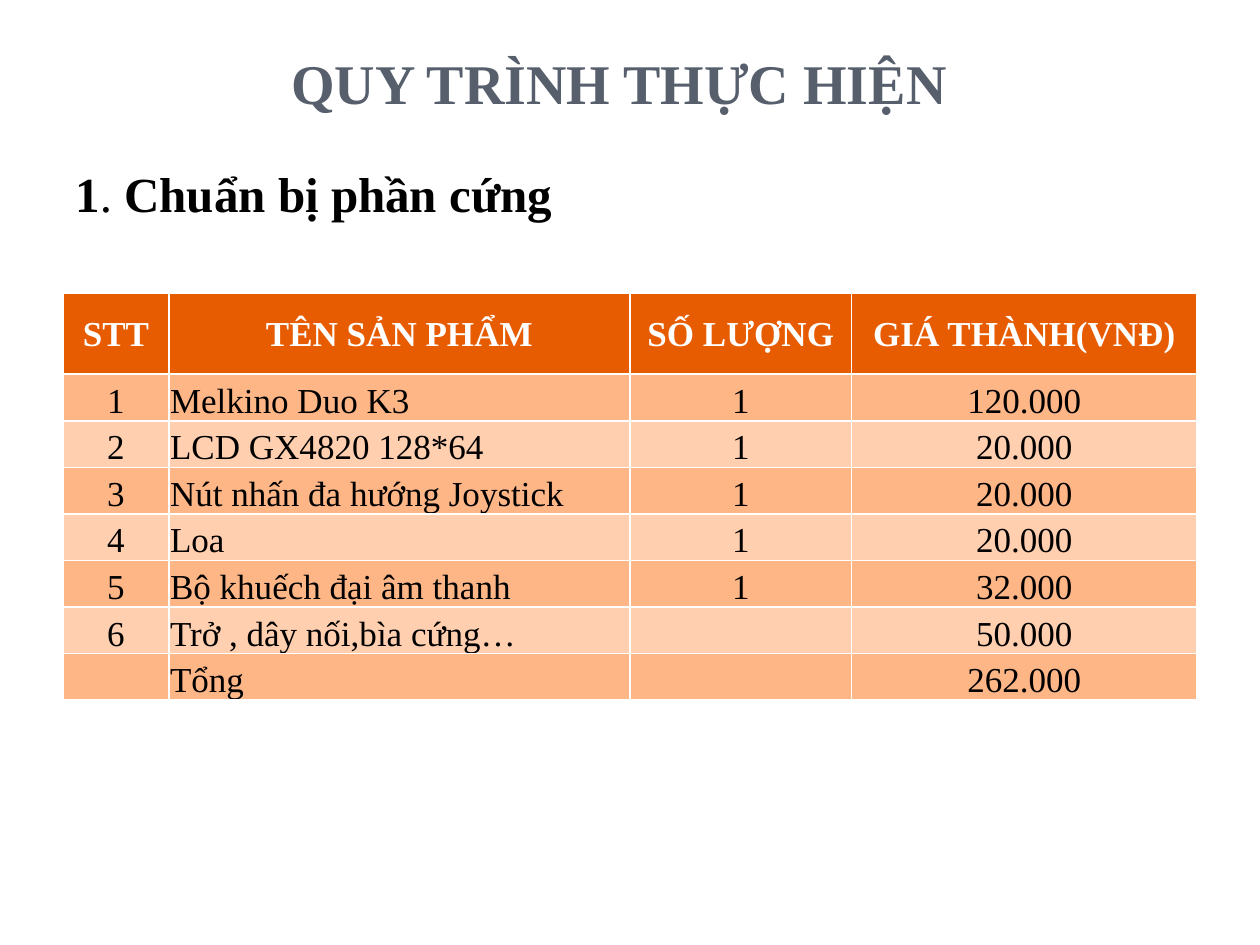
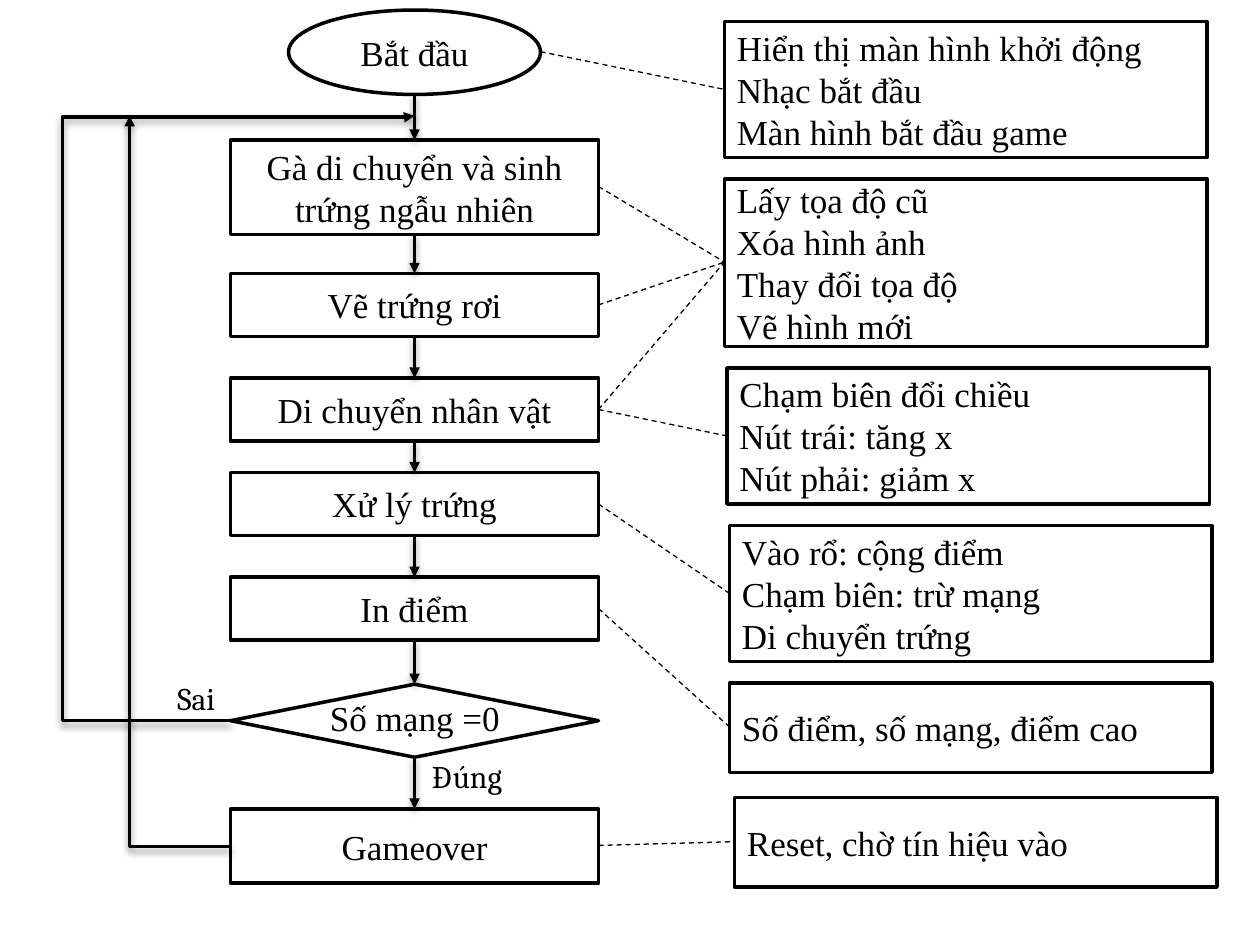
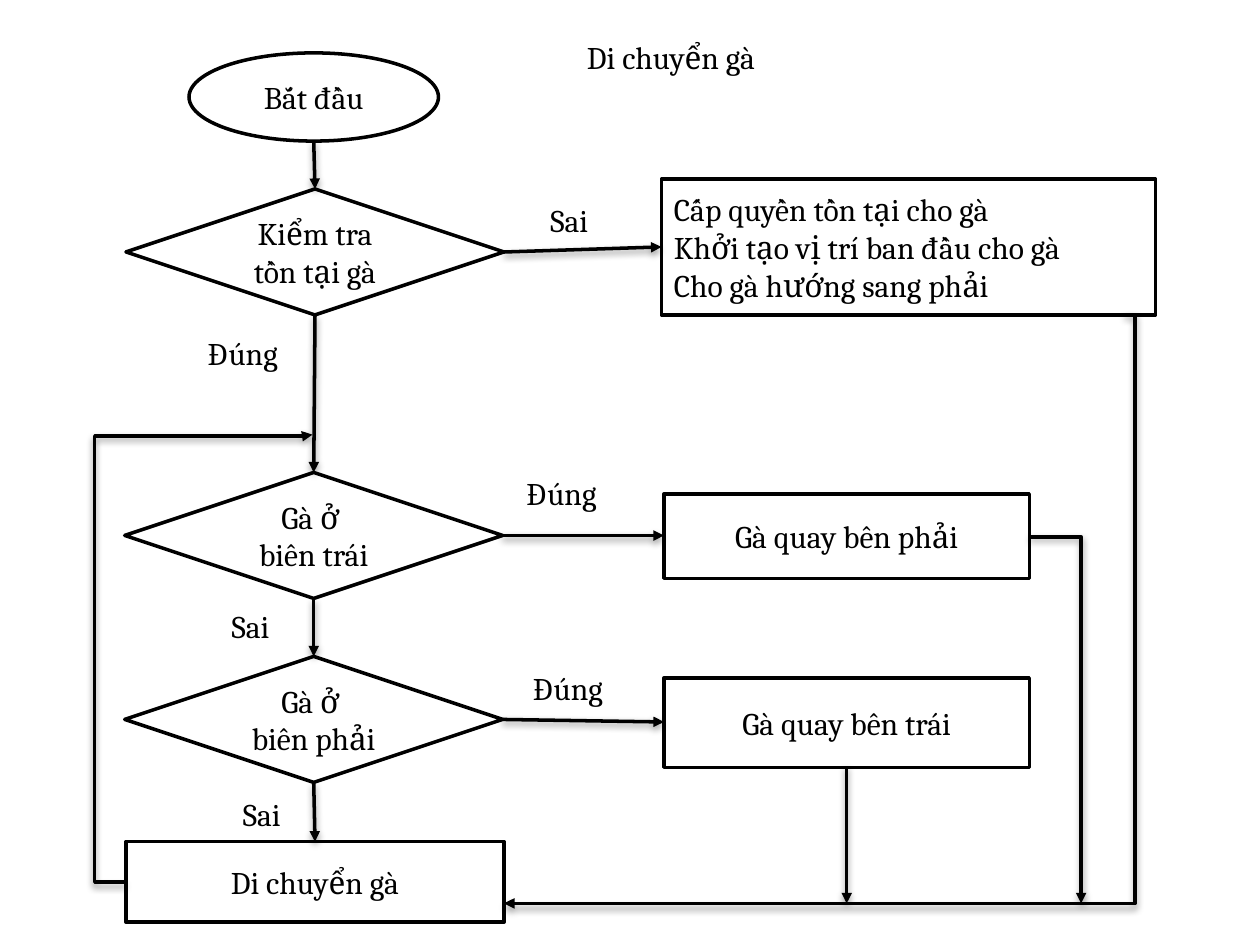
from lxml.etree import SubElement
from pptx import Presentation
from pptx.dml.color import RGBColor
from pptx.enum.dml import MSO_LINE
from pptx.enum.shapes import MSO_CONNECTOR, MSO_SHAPE
from pptx.enum.text import MSO_ANCHOR, PP_ALIGN
from pptx.oxml.ns import qn
from pptx.util import Pt

PX = 9144
SERIF, LABEL = "Times New Roman", "Cambria"
C = {"ink": "000000", "paper": "FFFFFF", "title": "575F6D",
     "head": "E75C01", "odd": "FEB687", "even": "FFCFAF"}
LEFT, CENTER = PP_ALIGN.LEFT, PP_ALIGN.CENTER
OVAL, RECT, DIAMOND = MSO_SHAPE.OVAL, MSO_SHAPE.RECTANGLE, MSO_SHAPE.DIAMOND


def write(tf, text, font, size, align=LEFT, color="ink", bold=False):
    tf.word_wrap = True
    for i, line in enumerate(text.split("\n")):
        p = tf.paragraphs[0] if i == 0 else tf.add_paragraph()
        p.alignment = align
        p.font.name, p.font.size, p.font.bold = font, Pt(size), bold
        p.font.color.rgb = RGBColor.from_string(C[color])
        if line:
            p.add_run().text = line


def link(s, start, end, arrow=True, bend=None, adjust=()):
    kind = MSO_CONNECTOR.ELBOW if bend else MSO_CONNECTOR.STRAIGHT
    cn = s.shapes.add_connector(kind, *[v * PX for v in (*start, *end)])
    cn.line.color.rgb = RGBColor.from_string(C["ink"])
    cn.line.width = Pt(2 if arrow else 0.75)
    pr = cn._element.spPr
    if bend:
        geom = pr.find(qn("a:prstGeom"))
        geom.set("prst", bend)
        for i, value in enumerate(adjust, 1):
            SubElement(geom.find(qn("a:avLst")), qn("a:gd"),
                       name=f"adj{i}", fmla=f"val {value}")
    if not arrow:
        cn.line.dash_style = MSO_LINE.DASH
    effects = SubElement(pr, qn("a:effectLst"))
    if arrow:
        SubElement(pr.find(qn("a:ln")), qn("a:tailEnd"), type="triangle")
        shadow = SubElement(effects, qn("a:outerShdw"), blurRad=str(Pt(4)),
                            dist=str(Pt(2)), dir="5400000", rotWithShape="0")
        tint = SubElement(shadow, qn("a:srgbClr"), val=C["ink"])
        SubElement(tint, qn("a:alpha"), val="40000")


prs = Presentation()
prs.slide_width, prs.slide_height = 1000 * PX, 750 * PX
blank = prs.slide_layouts[6]

s = prs.slides.add_slide(blank)
tf = s.shapes.add_textbox(83 * PX, 17 * PX, 817 * PX, 80 * PX).text_frame
tf.vertical_anchor = MSO_ANCHOR.BOTTOM
write(tf, "QUY TRÌNH THỰC HIỆN", SERIF, 32, CENTER, "title", True)

tf = s.shapes.add_textbox(50 * PX, 125 * PX, 925 * PX, 57 * PX).text_frame
write(tf, "", SERIF, 28)
for text, bold in [("1", True), (". ", False), ("Chuẩn bị phần cứng", True)]:
    r = tf.paragraphs[0].add_run()
    r.text, r.font.bold = text, bold

rows = [
    ("STT", "TÊN SẢN PHẨM", "SỐ LƯỢNG", "GIÁ THÀNH(VNĐ)"),
    ("1", "Melkino Duo K3", "1", "120.000"),
    ("2", "LCD GX4820 128*64", "1", "20.000"),
    ("3", "Nút nhấn đa hướng Joystick", "1", "20.000"),
    ("4", "Loa", "1", "20.000"),
    ("5", "Bộ khuếch đại âm thanh", "1", "32.000"),
    ("6", "Trở , dây nối,bìa cứng…", "", "50.000"),
    ("", "Tổng", "", "262.000"),
]
table = s.shapes.add_table(len(rows), 4, 50 * PX, 233 * PX, 900 * PX, 323 * PX).table
for col, width in zip(table.columns, (84, 366, 176, 274)):
    col.width = width * PX
for y, row in enumerate(rows):
    table.rows[y].height = (37 if y else 64) * PX
    fill = ("odd" if y % 2 else "even") if y else "head"
    for x, text in enumerate(row):
        cell = table.cell(y, x)
        cell.margin_left = cell.margin_right = cell.margin_top = PX
        cell.margin_bottom = 0
        cell.vertical_anchor = MSO_ANCHOR.BOTTOM if y else MSO_ANCHOR.MIDDLE
        for side in ("lnL", "lnR", "lnT", "lnB"):
            ln = SubElement(cell._tc.get_or_add_tcPr(), qn(f"a:{side}"), w=str(Pt(1)))
            SubElement(SubElement(ln, qn("a:solidFill")), qn("a:srgbClr"), val=C["paper"])
        cell.fill.solid()
        cell.fill.fore_color.rgb = RGBColor.from_string(C[fill])
        write(cell.text_frame, text, SERIF, 20, LEFT if y and x == 1 else CENTER,
              "ink" if y else "paper", y == 0)

game = {
    "font": SERIF, "size": 20, "arrow": False,
    "steps": [
        (OVAL, 229, 8, 200, 67, "Bắt đầu"),
        (RECT, 183, 111, 292, 75, "Gà di chuyển và sinh trứng ngẫu nhiên"),
        (RECT, 183, 217, 292, 50, "Vẽ trứng rơi"),
        (RECT, 183, 300, 292, 50, "Di chuyển nhân vật"),
        (RECT, 183, 375, 292, 50, "Xử lý trứng"),
        (RECT, 183, 458, 292, 50, "In điểm"),
        (DIAMOND, 183, 543, 292, 58, ""),
        (RECT, 183, 642, 292, 59, "Gameover"),
    ],
    "notes": [
        (575, 17, 383, 108, LEFT, "Hiển thị màn hình khởi động\nNhạc bắt đầu\nMàn hình bắt đầu game"),
        (575, 142, 383, 133, LEFT, "Lấy tọa độ cũ\nXóa hình ảnh\nThay đổi tọa độ\nVẽ hình mới"),
        (577, 292, 383, 108, LEFT, "Chạm biên đổi chiều\nNút trái: tăng x\nNút phải: giảm x"),
        (579, 417, 383, 108, LEFT, "Vào rổ: cộng điểm\nChạm biên: trừ mạng\nDi chuyển trứng"),
        (579, 542, 383, 71, LEFT, "Số điểm, số mạng, điểm cao"),
        (583, 633, 383, 71, LEFT, "Reset, chờ tín hiệu vào"),
    ],
    "pairs": [(0, 0), (1, 1), (2, 1), (3, 1), (3, 2), (4, 3), (5, 4), (7, 5)],
    "bends": [
        ((183, 572), (329, 92), "bentConnector4", (-91400, 99800)),
        ((183, 672), (103, 92), "bentConnector2", ()),
    ],
    "labels": [
        (252, 548, 179, SERIF, 20, "Số mạng =0"),
        (333, 596, 135, LABEL, 18, "Đúng"),
        (131, 534, 135, LABEL, 18, "Sai"),
    ],
}
chicken = {
    "font": LABEL, "size": 18, "arrow": True,
    "steps": [
        (OVAL, 150, 42, 198, 70, "Bắt đầu"),
        (DIAMOND, 100, 150, 300, 100, "Kiểm tra tồn tại gà"),
        (DIAMOND, 99, 375, 300, 100, "Gà ở \nbiên trái"),
        (DIAMOND, 99, 521, 300, 100, "Gà ở \nbiên phải"),
        (RECT, 100, 668, 300, 64, "Di chuyển gà"),
    ],
    "notes": [
        (525, 142, 392, 108, LEFT,
         "Cấp quyền tồn tại cho gà\nKhởi tạo vị trí ban đầu cho gà\nCho gà hướng sang phải"),
        (527, 392, 290, 67, CENTER, "Gà quay bên phải"),
        (527, 538, 290, 71, CENTER, "Gà quay bên trái"),
    ],
    "pairs": [(1, 0), (2, 1), (3, 2)],
    "bends": [
        ((672, 608), (672, 717), None, ()),
        ((100, 700), (248, 345), "bentConnector4", (-16800, 99700)),
        ((892, 250), (400, 717), "bentConnector3", (-1800,)),
        ((817, 426), (858, 717), "bentConnector2", ()),
    ],
    "labels": [
        (174, 477, 110, LABEL, 18, "Sai"),
        (427, 155, 110, LABEL, 18, "Sai"),
        (408, 371, 95, LABEL, 18, "Đúng"),
        (413, 526, 95, LABEL, 18, "Đúng"),
        (456, 25, 402, LABEL, 18, "Di chuyển gà"),
        (155, 260, 95, LABEL, 18, "Đúng"),
        (183, 626, 110, LABEL, 18, "Sai"),
    ],
}

for chart in (game, chicken):
    s = prs.slides.add_slide(blank)
    steps, notes = chart["steps"], chart["notes"]
    boxes = [(*step[:5], CENTER, step[5]) for step in steps]
    boxes += [(RECT, *note) for note in notes]
    for kind, x, y, w, h, align, text in boxes:
        sp = s.shapes.add_shape(kind, x * PX, y * PX, w * PX, h * PX)
        sp.shadow.inherit = False
        sp.fill.solid()
        sp.fill.fore_color.rgb = RGBColor.from_string(C["paper"])
        sp.line.color.rgb = RGBColor.from_string(C["ink"])
        sp.line.width = Pt(2)
        sp.text_frame.vertical_anchor = MSO_ANCHOR.MIDDLE
        write(sp.text_frame, text, chart["font"], chart["size"], align)
    for (_, x, y, w, h, _), (_, x2, y2, w2, _, _) in zip(steps, steps[1:]):
        link(s, (x + w // 2, y + h), (x2 + w2 // 2, y2))
    for i, j in chart["pairs"]:
        _, x, y, w, h, _ = steps[i]
        x2, y2, _, h2, _, _ = notes[j]
        link(s, (x + w, y + h // 2), (x2, y2 + h2 // 2), chart["arrow"])
    for start, end, bend, adjust in chart["bends"]:
        link(s, start, end, bend=bend, adjust=adjust)
    for x, y, w, font, size, text in chart["labels"]:
        sp = s.shapes.add_textbox(x * PX, y * PX, w * PX, 40 * PX)
        write(sp.text_frame, text, font, size)

prs.save("out.pptx")
